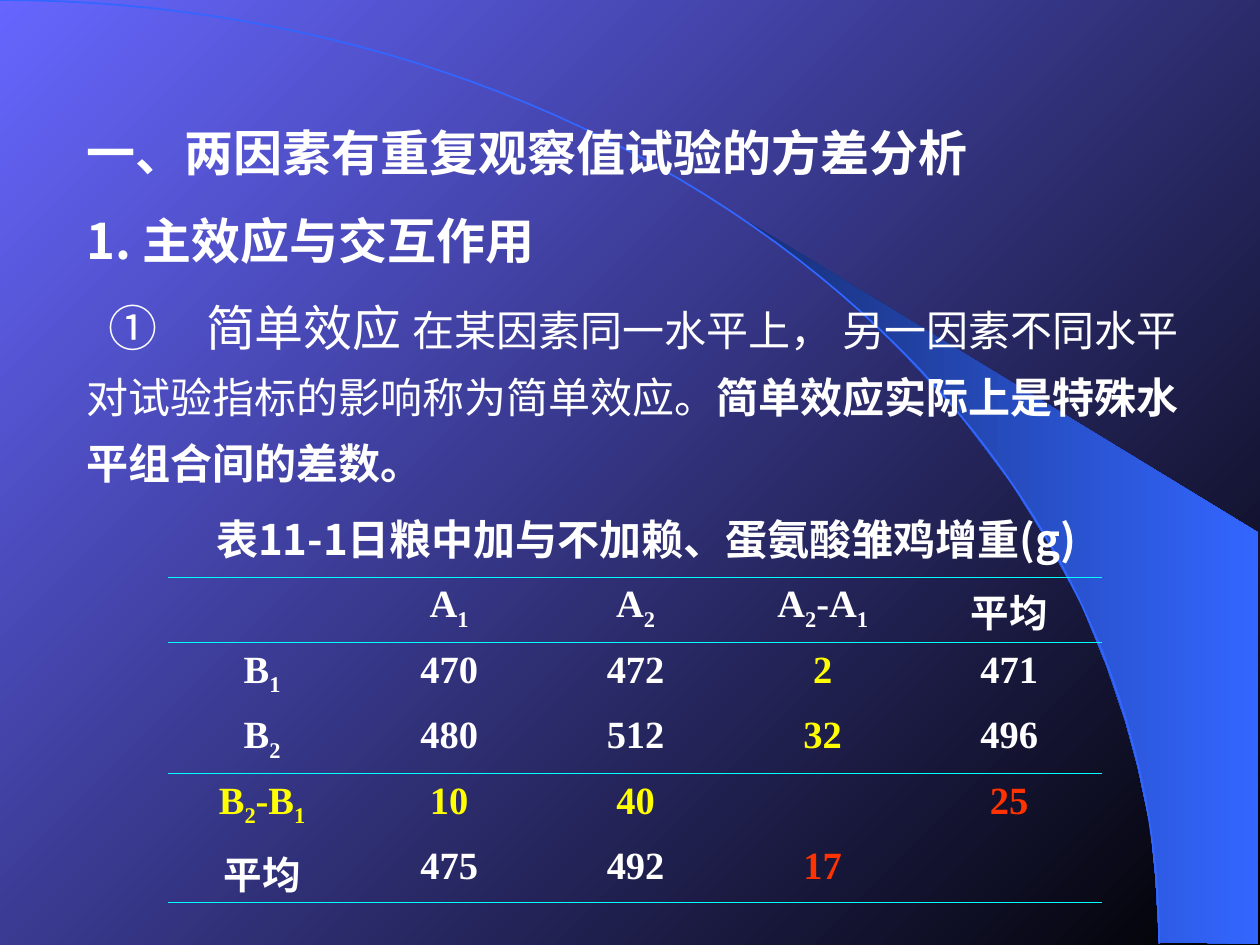
from math import cos, pi, sin

from lxml.etree import SubElement
from pptx import Presentation
from pptx.dml.color import RGBColor
from pptx.enum.text import PP_ALIGN
from pptx.oxml.ns import qn
from pptx.util import Inches, Pt

COLORS = {
    "violet": "6666FF", "black": "000000", "navy": "182F76", "blue": "3366FF",
    "white": "FFFFFF", "yellow": "FFFF00", "red": "FF3300", "cyan": "00FFFF",
}
SANS, SERIF = "Noto Sans CJK SC", "Times New Roman"
NO_STYLE = "{2D5ABB26-0587-4C30-8999-92F81FD0307C}"

BAND_POINTS = [
    (3.31, 5.75), (4.1, 5.76), (4.1, 2.5), (0, 0), (0.35, 0.26), (0.64, 0.49),
    (0.96, 0.77), (1.27, 1.07), (1.73, 1.57), (2.14, 2.11), (2.43, 2.58),
    (2.69, 3.06), (2.89, 3.55), (3.04, 3.99), (3.14, 4.36), (3.24, 4.83),
    (3.28, 5.23),
]
# Each run is text, size, bold, font
PARAGRAPHS = [
    {"runs": [("一、两因素有重复观察值试验的方差分析", 28, True, SANS)]},
    {"before": 7, "spacing": 1.3, "runs": [("1. 主效应与交互作用", 28, True, SANS)]},
    {"before": 6, "spacing": 1.3, "indent": 0.17, "runs": [
        ("①　", 28, False, SERIF),
        ("简单效应 ", 28, False, SANS),
        ("在某因素同一水平上， 另一因素不同水平对试验指标的影响称为简单效应。",
         24, False, SANS),
        ("简单效应实际上是特殊水平组合间的差数。", 24, True, SANS)]},
    {"before": 6, "spacing": 1.3, "align": PP_ALIGN.CENTER, "runs": [
        ("表11-1日粮中加与不加赖、蛋氨酸雏鸡增重(g)", 24, True, SANS)]},
]
# An underscore marks the next character as a subscript
WEIGHT_GAINS = [
    ["", "A_1", "A_2", "A_2-A_1", "平均"],
    ["B_1", "470", "472", "2", "471"],
    ["B_2", "480", "512", "32", "496"],
    ["B_2-B_1", "10", "40", "", "25"],
    ["平均", "475", "492", "17", ""],
]
COLUMN_WIDTHS = [1.5, 1.47, 1.49, 1.48, 1.48]
ROW_HEIGHTS = [0.52, 0.52, 0.52, 0.52, 0.5]
RULED_ROWS = {0, 2, 4}
DIFFERENCE, MEAN = 3, 4


def rgb(name):
    return RGBColor.from_string(COLORS[name])


def set_gradient(fill, start, end, angle):
    fill.gradient()
    fill.gradient_angle = angle
    for stop, name, position in zip(fill.gradient_stops, (start, end), (0, 1)):
        stop.color.rgb = rgb(name)
        stop.position = position


def add_outline(slide, left, top, points, close):
    placed = [(Inches(left + x), Inches(top + y)) for x, y in points]
    builder = slide.shapes.build_freeform(*placed[0])
    builder.add_line_segments(placed[1:], close=close)
    shape = builder.convert_to_shape()
    shape.shadow.inherit = False
    return shape


def add_band(slide, left, top):
    band = add_outline(slide, left, top, BAND_POINTS, True)
    set_gradient(band.fill, "navy", "blue", 0)
    band.line.fill.background()


def add_arc(slide, left, top, width, height, steps=60):
    """Draw a quarter ellipse from the top left to the bottom right corner."""
    angles = [pi / 2 * step / steps for step in range(steps + 1)]
    points = [(width * sin(a), height * (1 - cos(a))) for a in angles]
    arc = add_outline(slide, left, top, points, False)
    arc.fill.background()
    arc.line.color.rgb = rgb("blue")
    arc.line.width = Pt(1)


def add_run(paragraph, text, size, bold, font_name, color, subscript=False):
    run = paragraph.add_run()
    run.text = text
    run.font.size = Pt(size)
    run.font.bold = bold
    run.font.color.rgb = rgb(color)
    run.font.name = font_name
    properties = run._r.get_or_add_rPr()
    SubElement(properties, qn("a:ea")).set("typeface", SANS)
    if subscript:
        properties.set("baseline", "-25000")


def add_body(slide, left, top, width, height):
    box = slide.shapes.add_textbox(
        Inches(left), Inches(top), Inches(width), Inches(height))
    frame = box.text_frame
    frame.word_wrap = True
    for index, content in enumerate(PARAGRAPHS):
        paragraph = frame.add_paragraph() if index else frame.paragraphs[0]
        if "indent" in content:
            paragraph._p.get_or_add_pPr().set("indent", str(Inches(content["indent"])))
        paragraph.alignment = content.get("align", PP_ALIGN.LEFT)
        paragraph.line_spacing = content.get("spacing", 1.0)
        paragraph.space_before = Pt(content.get("before", 0))
        for text, size, bold, font_name in content["runs"]:
            add_run(paragraph, text, size, bold, font_name, "white")


def add_border(cell, side):
    line = SubElement(cell._tc.get_or_add_tcPr(), qn(f"a:{side}"), w=str(Pt(0.45)))
    fill = SubElement(line, qn("a:solidFill"))
    SubElement(fill, qn("a:srgbClr")).set("val", COLORS["cyan"])


def value_color(row, column):
    """Differences are yellow, and differences of means are red."""
    if row == 0 or DIFFERENCE not in (row, column):
        return "white"
    return "red" if MEAN in (row, column) else "yellow"


def fill_cell(cell, text, color):
    paragraph = cell.text_frame.paragraphs[0]
    paragraph.alignment = PP_ALIGN.CENTER
    for index, part in enumerate(text.split("_")):
        split = 1 if index else 0
        for piece, subscript in ((part[:split], True), (part[split:], False)):
            if piece:
                add_run(paragraph, piece, 22, True, SERIF, color, subscript)


def add_gain_table(slide, left, top):
    table = slide.shapes.add_table(
        len(ROW_HEIGHTS), len(COLUMN_WIDTHS), Inches(left), Inches(top),
        Inches(sum(COLUMN_WIDTHS)), Inches(sum(ROW_HEIGHTS))).table
    table.first_row = table.horz_banding = False
    table._tbl.tblPr.find(qn("a:tableStyleId")).text = NO_STYLE
    for column, width in zip(table.columns, COLUMN_WIDTHS):
        column.width = Inches(width)
    for row_index, values in enumerate(WEIGHT_GAINS):
        table.rows[row_index].height = Inches(ROW_HEIGHTS[row_index])
        for column_index, text in enumerate(values):
            cell = table.cell(row_index, column_index)
            if row_index == 0:
                add_border(cell, "lnT")
            if row_index in RULED_ROWS:
                add_border(cell, "lnB")
            cell.fill.background()
            fill_cell(cell, text, value_color(row_index, column_index))


def main():
    presentation = Presentation()
    presentation.slide_width = Inches(10)
    presentation.slide_height = Inches(7.5)
    slide = presentation.slides.add_slide(presentation.slide_layouts[6])
    set_gradient(slide.background.fill, "violet", "black", 315)
    add_band(slide, 5.89, 1.73)
    add_arc(slide, 0, 0, 9.2, 7.49)
    add_body(slide, 0.59, 0.92, 9.08, 3.6)
    add_gain_table(slide, 1.33, 4.58)
    presentation.save("out.pptx")


if __name__ == "__main__":
    main()
